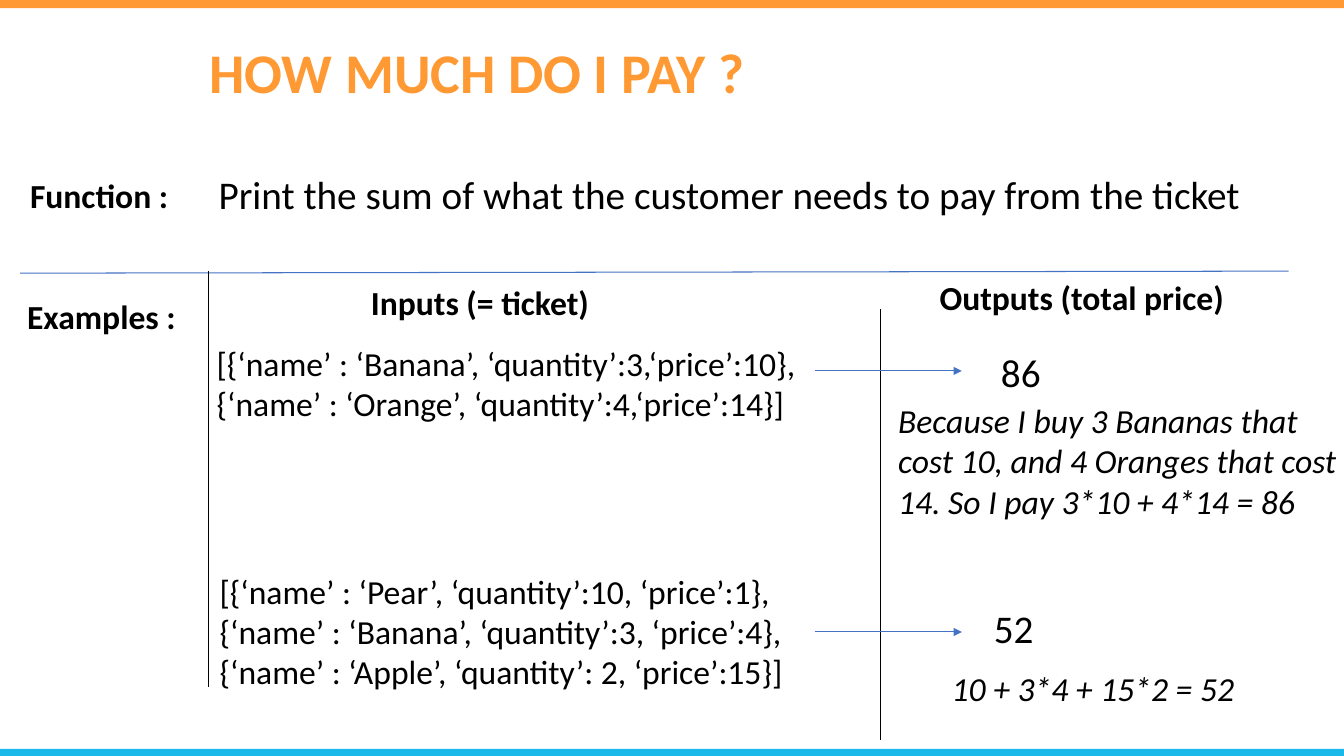
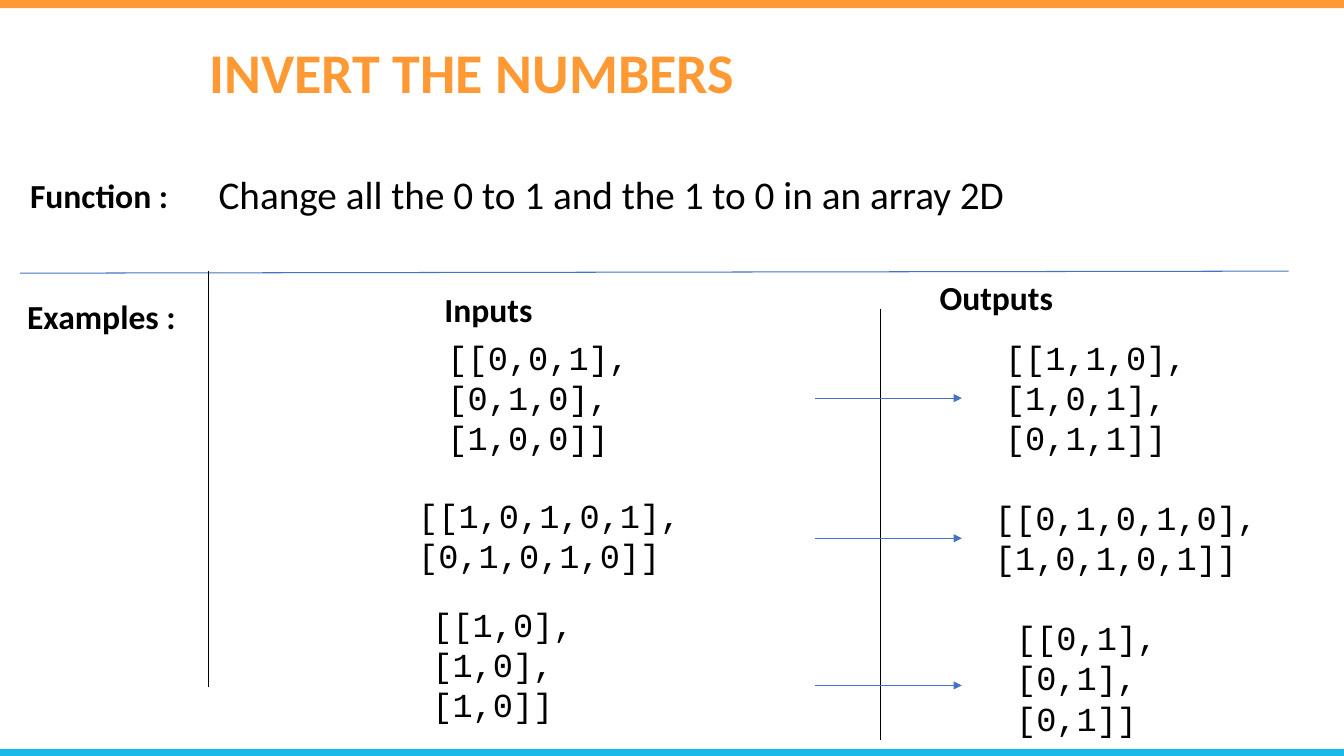
from dataclasses import dataclass

from lxml.etree import SubElement
from pptx import Presentation
from pptx.dml.color import RGBColor
from pptx.enum.shapes import MSO_CONNECTOR as Connector, MSO_SHAPE as Preset
from pptx.enum.text import MSO_AUTO_SIZE as AutoSize
from pptx.oxml.ns import qn
from pptx.presentation import Presentation as Deck
from pptx.slide import Slide
from pptx.util import Emu, Pt

PX = 9144  # 100 px to the inch
PAGE_WIDTH, PAGE_HEIGHT = 1333, 750


@dataclass(frozen=True)
class TextStyle:
    size: int
    color: str = "000000"
    font: str = "Calibri"
    bold: bool = False
    italic: bool = False
    indent: int = 0


@dataclass(frozen=True)
class Theme:
    orange: str = "FF9933"
    cyan: str = "1BB9EA"
    blue: str = "4472C4"
    black: str = "000000"
    line_width: float = 0.75
    title: TextStyle = TextStyle(40, "FF9933", bold=True)
    label: TextStyle = TextStyle(24, bold=True)
    large: TextStyle = TextStyle(28)
    body: TextStyle = TextStyle(24)
    remark: TextStyle = TextStyle(24, italic=True)
    array: TextStyle = TextStyle(24, font="Courier New", indent=50)


THEME = Theme()


@dataclass(frozen=True)
class TextBlock:
    left: int
    top: int
    width: int
    lines: tuple[str, ...]
    style: TextStyle


@dataclass(frozen=True)
class Rule:
    start: tuple[int, int]
    end: tuple[int, int]
    color: str
    arrow: bool = False


@dataclass(frozen=True)
class Band:
    top: int
    height: int
    color: str


@dataclass(frozen=True)
class Exercise:
    title: str
    function: str
    inputs: TextBlock
    outputs: str
    arrow_tops: tuple[int, ...]
    examples: tuple[TextBlock, ...]


BANDS = (Band(0, 8, THEME.orange), Band(743, 7, THEME.cyan))
RULES = (
    Rule((20, 271), (1278, 269), THEME.blue),
    Rule((207, 269), (207, 682), THEME.black),
    Rule((873, 307), (873, 734), THEME.black),
)
ROW_LABELS = (
    TextBlock(20, 169, 204, ("Function :",), THEME.label),
    TextBlock(17, 289, 207, ("Examples :",), THEME.label),
)
ARROW_LEFT, ARROW_RIGHT = 808, 954

EXERCISES = (
    Exercise(
        "HOW MUCH DO I PAY ?",
        "Print the sum of what the customer needs to pay from the ticket",
        TextBlock(358, 275, 238, ("Inputs (= ticket)",), THEME.label),
        "Outputs (total price)",
        (368, 627),
        (
            TextBlock(205, 335, 639, (
                "[{‘name’ : ‘Banana’, ‘quantity’:3,‘price’:10},",
                "{‘name’ : ‘Orange’, ‘quantity’:4,‘price’:14}]",
            ), THEME.body),
            TextBlock(983, 341, 84, ("86",), THEME.large),
            TextBlock(881, 392, 460, (
                "Because I buy 3 Bananas that cost 10, and 4 Oranges that cost 14. "
                "So I pay 3*10 + 4*14 = 86",
            ), THEME.remark),
            TextBlock(208, 561, 591, (
                "[{‘name’ : ‘Pear’, ‘quantity’:10, ‘price’:1},",
                "{‘name’ : ‘Banana’, ‘quantity’:3, ‘price’:4},",
                "{‘name’ : ‘Apple’, ‘quantity’: 2, ‘price’:15}]",
            ), THEME.body),
            TextBlock(976, 595, 84, ("52",), THEME.large),
            TextBlock(934, 658, 312, ("10 + 3*4 + 15*2 = 52",), THEME.remark),
        ),
    ),
    Exercise(
        "INVERT THE NUMBERS",
        "Change all the 0 to 1 and the 1 to 0 in an array 2D",
        TextBlock(431, 282, 238, ("Inputs",), THEME.label),
        "Outputs",
        (395, 534, 680),
        (
            TextBlock(384, 329, 283, ("[[0,0,1],", "[0,1,0],", "[1,0,0]]"), THEME.array),
            TextBlock(937, 329, 283, ("[[1,1,0],", "[1,0,1],", "[0,1,1]]"), THEME.array),
            TextBlock(355, 486, 357, ("[[1,0,1,0,1],", "[0,1,0,1,0]]"), THEME.array),
            TextBlock(927, 488, 357, ("[[0,1,0,1,0],", "[1,0,1,0,1]]"), THEME.array),
            TextBlock(369, 594, 357, ("[[1,0],", "[1,0],", "[1,0]]"), THEME.array),
            TextBlock(948, 607, 357, ("[[0,1],", "[0,1],", "[0,1]]"), THEME.array),
        ),
    ),
)


def px(length: int) -> Emu:
    return Emu(length * PX)


def rgb(color: str) -> RGBColor:
    return RGBColor.from_string(color)


def draw_band(page: Slide, band: Band) -> None:
    shape = page.shapes.add_shape(
        Preset.RECTANGLE, 0, px(band.top), px(PAGE_WIDTH), px(band.height))
    shape.shadow.inherit = False
    shape.fill.solid()
    shape.fill.fore_color.rgb = rgb(band.color)
    shape.line.fill.background()


def draw_rule(page: Slide, rule: Rule) -> None:
    line = page.shapes.add_connector(
        Connector.STRAIGHT, *map(px, rule.start), *map(px, rule.end))
    line.line.color.rgb = rgb(rule.color)
    line.line.width = Pt(THEME.line_width)
    properties = line._element.spPr
    if rule.arrow:
        SubElement(properties.find(qn("a:ln")), qn("a:tailEnd"), type="triangle")
    SubElement(properties, qn("a:effectLst"))


def draw_text(page: Slide, block: TextBlock) -> None:
    """Draw one paragraph per line; the height follows the text."""
    style = block.style
    height = round(len(block.lines) * style.size * 1.67) + 10
    box = page.shapes.add_textbox(
        px(block.left), px(block.top), px(block.width), px(height))
    frame = box.text_frame
    frame.word_wrap = True
    frame.auto_size = AutoSize.SHAPE_TO_FIT_TEXT
    for index, line in enumerate(block.lines):
        para = frame.add_paragraph() if index else frame.paragraphs[0]
        if style.indent:
            para.level = 1
            para._p.get_or_add_pPr().set("marL", str(px(style.indent)))
        span = para.add_run()
        span.text = line
        font = span.font
        font.name, font.size = style.font, Pt(style.size)
        font.bold, font.italic = style.bold, style.italic
        font.color.rgb = rgb(style.color)


def add_exercise(deck: Deck, exercise: Exercise) -> None:
    page = deck.slides.add_slide(deck.slide_layouts[6])
    for band in BANDS:
        draw_band(page, band)
    arrows = tuple(
        Rule((ARROW_LEFT, top), (ARROW_RIGHT, top), THEME.blue, arrow=True)
        for top in exercise.arrow_tops)
    for rule in RULES + arrows:
        draw_rule(page, rule)
    headings = (
        TextBlock(198, 32, 556, (exercise.title,), THEME.title),
        TextBlock(207, 164, 1114, (exercise.function,), THEME.large),
        exercise.inputs,
        TextBlock(922, 270, 309, (exercise.outputs,), THEME.label),
    )
    for block in headings + ROW_LABELS + exercise.examples:
        draw_text(page, block)


def main() -> None:
    deck = Presentation()
    deck.slide_width, deck.slide_height = px(PAGE_WIDTH), px(PAGE_HEIGHT)
    for exercise in EXERCISES:
        add_exercise(deck, exercise)
    deck.save("out.pptx")


if __name__ == "__main__":
    main()
